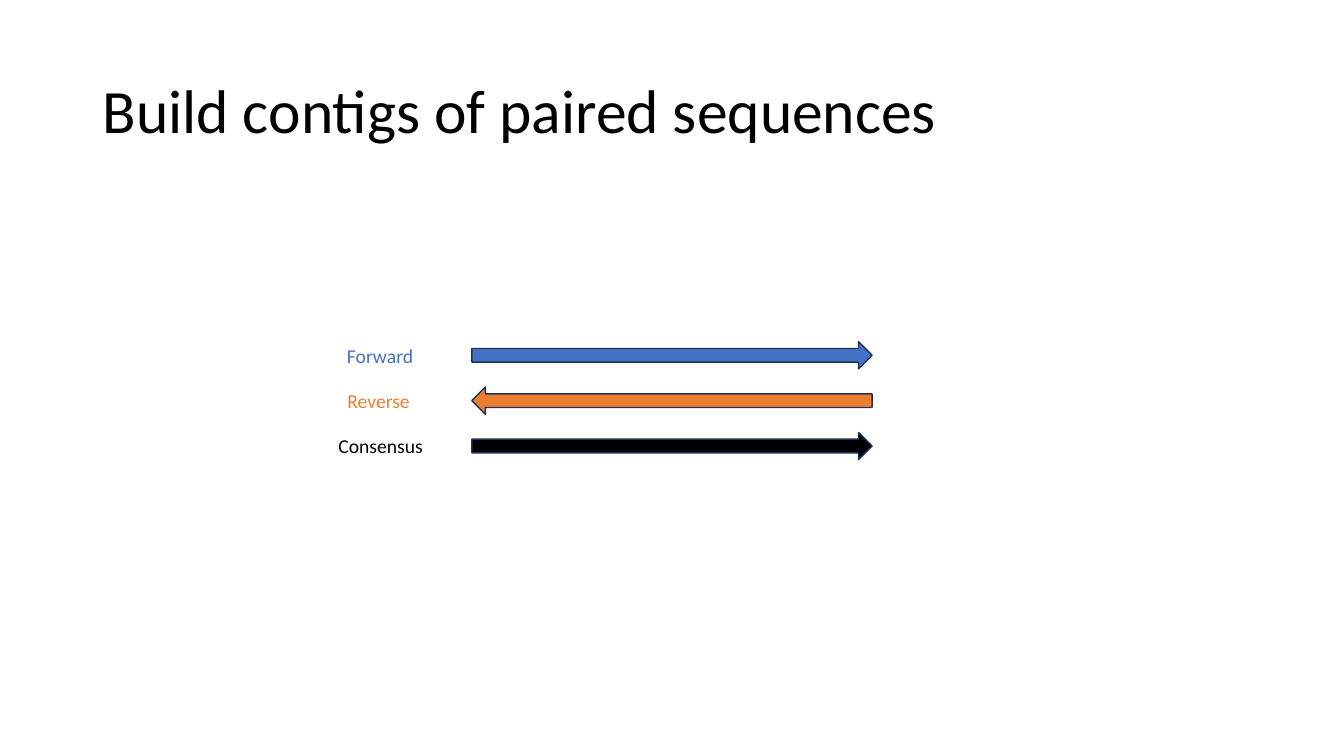
from pptx import Presentation
from pptx.dml.color import RGBColor
from pptx.enum import shapes, text
from pptx import util as u

FONT = "Calibri"
BLACK = "000000"
OUTLINE = "1E3256"
RIGHT = shapes.MSO_SHAPE.RIGHT_ARROW
LEFT = shapes.MSO_SHAPE.LEFT_ARROW

# Label, label left, label width, arrow shape, arrow colour, text colour
READS = [
    ("Forward", 3.34, 0.86, RIGHT, "4472C4", "4572C4"),
    ("Reverse", 3.34, 0.83, LEFT, "ED7D31", "ED7D30"),
    ("Consensus", 3.25, 1.05, RIGHT, BLACK, BLACK),
]
FIRST_ARROW_TOP = 3.39
ROW_STEP = 0.45
LABEL_RISE = 0.03


def color(hex_string):
    return RGBColor.from_string(hex_string)


def add_text(slide, words, left, top, width, height, size, hex_color):
    shape = slide.shapes.add_textbox(
        u.Inches(left), u.Inches(top), u.Inches(width), u.Inches(height))
    shape.text_frame.text = words
    font = shape.text_frame.paragraphs[0].runs[0].font
    font.name = FONT
    font.size = u.Pt(size)
    font.color.rgb = color(hex_color)
    return shape.text_frame


def add_title(slide, words):
    frame = add_text(slide, words, 0.92, 0.4, 11.5, 1.45, 44, BLACK)
    frame.word_wrap = True
    frame.vertical_anchor = text.MSO_ANCHOR.MIDDLE
    frame.paragraphs[0].line_spacing = 0.9


def add_label(slide, words, left, top, width, hex_color):
    frame = add_text(slide, words, left, top, width, 0.34, 14, hex_color)
    frame.word_wrap = False
    frame.auto_size = text.MSO_AUTO_SIZE.SHAPE_TO_FIT_TEXT
    frame.paragraphs[0].alignment = text.PP_ALIGN.CENTER


def add_arrow(slide, kind, top, hex_color):
    shape = slide.shapes.add_shape(
        kind, u.Inches(4.68), u.Inches(top), u.Inches(3.97), u.Inches(0.27))
    shape.shadow.inherit = False
    shape.fill.solid()
    shape.fill.fore_color.rgb = color(hex_color)
    shape.line.color.rgb = color(OUTLINE)
    shape.line.width = u.Pt(1)


def main():
    presentation = Presentation()
    presentation.slide_width = u.Inches(13.33)
    presentation.slide_height = u.Inches(7.5)
    slide = presentation.slides.add_slide(presentation.slide_layouts[6])

    # Title
    add_title(slide, "Build contigs of paired sequences")

    # One labelled arrow per read
    for row, (name, left, width, kind, fill, ink) in enumerate(READS):
        top = FIRST_ARROW_TOP + row * ROW_STEP
        add_arrow(slide, kind, top, fill)
        add_label(slide, name, left, top - LABEL_RISE, width, ink)

    presentation.save("out.pptx")


if __name__ == "__main__":
    main()
